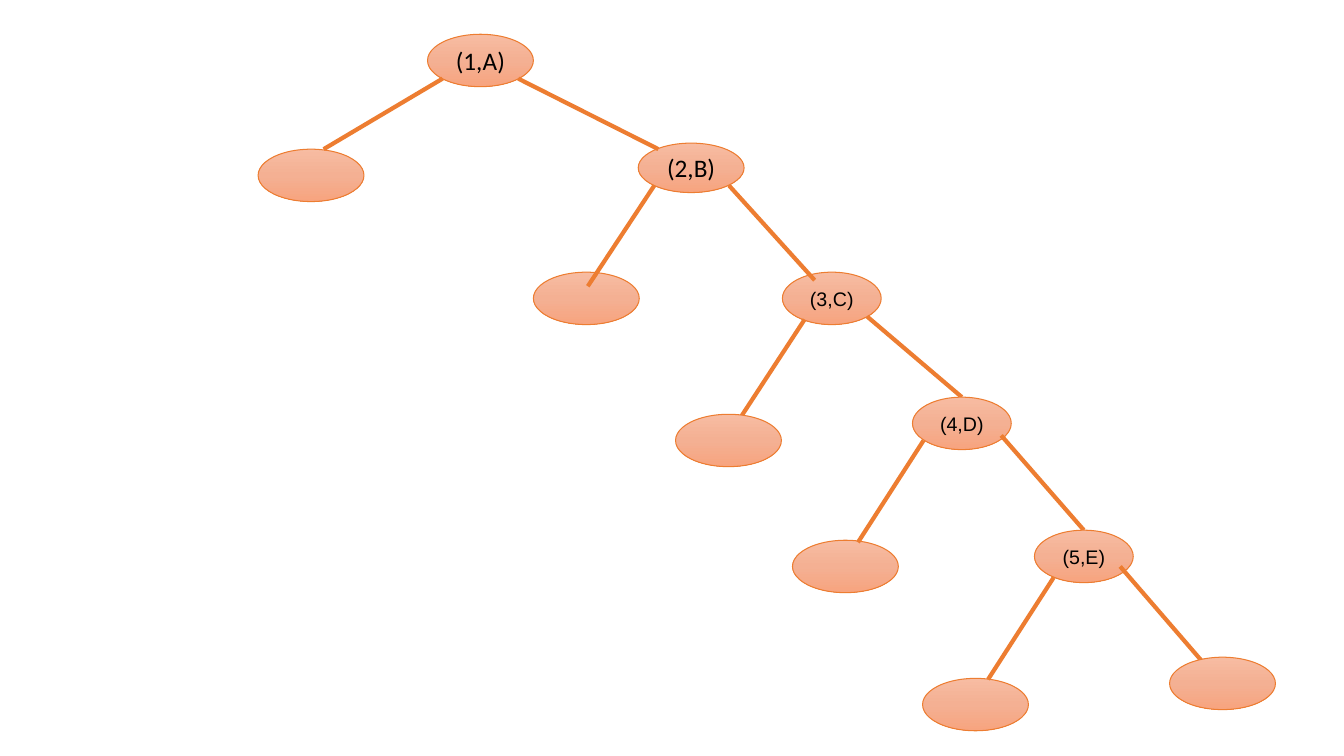
from copy import deepcopy

from pptx import Presentation
from pptx.dml.color import RGBColor
from pptx.enum.shapes import MSO_CONNECTOR, MSO_SHAPE
from pptx.enum.text import MSO_ANCHOR, PP_ALIGN
from pptx.oxml.ns import qn
from pptx.oxml.xmlchemy import OxmlElement
from pptx.util import Pt

PX = 9144  # 100 px to the inch
SIZE = (1333, 750)
ORANGE = RGBColor(0xED, 0x7D, 0x31)
BLACK = RGBColor(0x00, 0x00, 0x00)
SHADES = [
    (0.0, RGBColor(0xF7, 0xBC, 0xA2)),
    (0.5, RGBColor(0xF4, 0xB0, 0x93)),
    (1.0, RGBColor(0xF7, 0xA4, 0x7F)),
]
BIG, SMALL = ("Calibri", 18), ("Arial", 14)
WIDE, FLAT, SLIM = (105, 52), (105, 49), (98, 52)

# label, font, left and top, size, branch from the parent, branch lies over node
NODES = [
    ("(1,A)", BIG, (424, 34), WIDE, None, False),
    ("", None, (256, 148), WIDE, (439, 78, 321, 148), True),
    ("(2,B)", BIG, (633, 142), FLAT, (514, 78, 653, 148), True),
    ("", None, (529, 270), WIDE, (649, 184, 583, 284), True),
    ("(3,C)", SMALL, (776, 270), SLIM, (723, 184, 808, 278), True),
    ("", None, (670, 411), WIDE, (798, 317, 732, 418), False),
    ("(4,D)", SMALL, (905, 394), SLIM, (860, 314, 954, 394), False),
    ("", None, (786, 536), WIDE, (916, 437, 851, 538), True),
    ("(5,E)", SMALL, (1026, 526), SLIM, (993, 432, 1075, 526), False),
    ("", None, (915, 673), WIDE, (1045, 573, 980, 674), True),
    ("", None, (1160, 652), WIDE, (1111, 562, 1193, 657), False),
]


def scale(nums):
    return [n * PX for n in nums]


def shade(shape):
    """Fill a shape with the three-stop gradient, running downwards."""
    fill = shape.fill
    fill.gradient()
    fill.gradient_angle = 270
    stops = shape._element.spPr.find(qn("a:gradFill")).find(qn("a:gsLst"))
    stops.append(deepcopy(stops[-1]))
    for stop, (pos, color) in zip(fill.gradient_stops, SHADES):
        stop.position = pos
        stop.color.rgb = color


def add_node(slide, label, font, spot, size):
    node = slide.shapes.add_shape(MSO_SHAPE.OVAL, *scale(spot + size))
    node.shadow.inherit = False
    shade(node)
    node.line.color.rgb = ORANGE
    node.line.width = Pt(0.75)
    if label:
        frame = node.text_frame
        for side in ("left", "top", "right", "bottom"):
            setattr(frame, f"margin_{side}", 0)
        frame.vertical_anchor = MSO_ANCHOR.MIDDLE
        para = frame.paragraphs[0]
        para.alignment = PP_ALIGN.CENTER
        run = para.add_run()
        run.text = label
        face, points = font
        for key, value in {"name": face, "size": Pt(points)}.items():
            setattr(run.font, key, value)
        run.font.color.rgb = BLACK
    return node


def add_branch(slide, ends):
    branch = slide.shapes.add_connector(MSO_CONNECTOR.STRAIGHT, *scale(ends))
    branch.line.color.rgb = ORANGE
    branch.line.width = Pt(3)
    branch._element.spPr.append(OxmlElement("a:effectLst"))
    return branch


def main():
    deck = Presentation()
    deck.slide_width, deck.slide_height = scale(SIZE)
    slide = deck.slides.add_slide(deck.slide_layouts[6])
    for label, font, spot, size, ends, over in NODES:
        branch = add_branch(slide, ends) if ends and not over else None
        node = add_node(slide, label, font, spot, size)
        if over:
            branch = add_branch(slide, ends)
        top = (spot[0] + size[0] // 2, spot[1])
        if branch is not None and ends[2:] == top:
            branch.end_connect(node, 0)
    deck.save("out.pptx")


if __name__ == "__main__":
    main()
